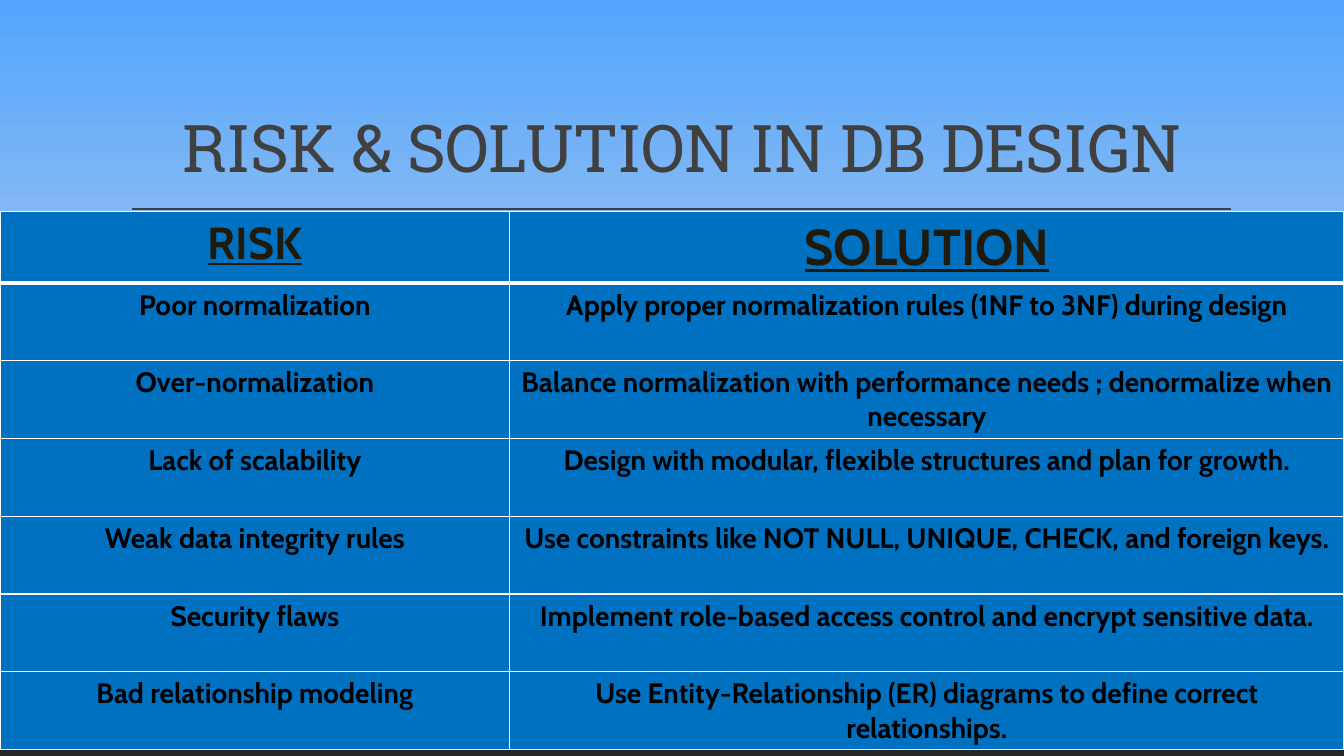
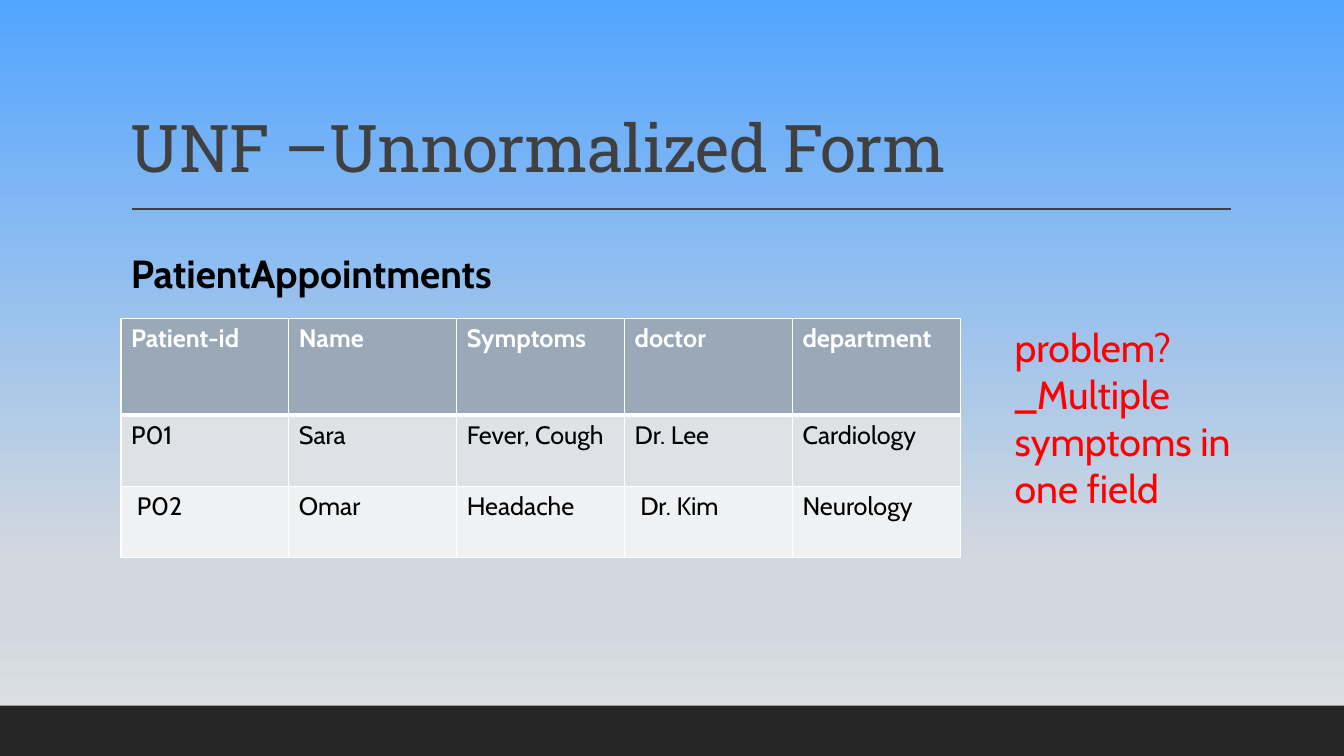
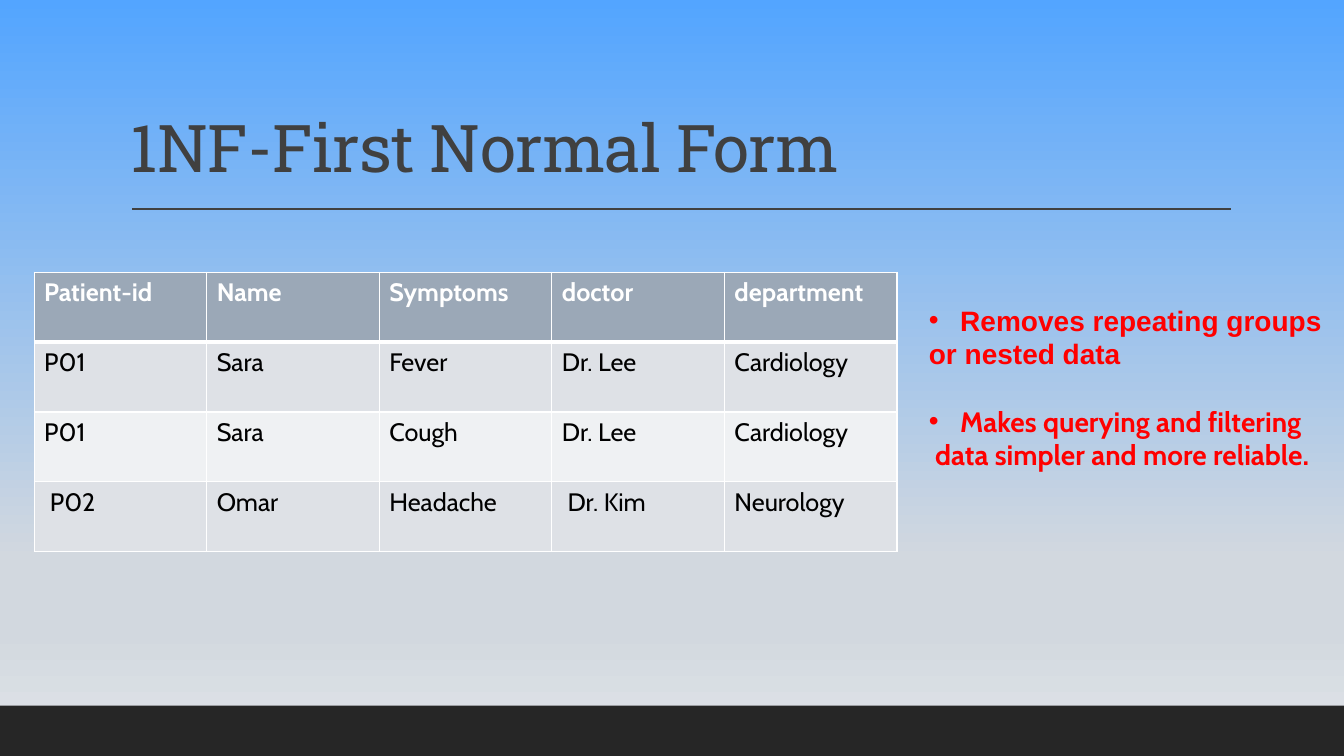
import pptx
import pptx.dml.color
import pptx.enum.dml
import pptx.enum.shapes
import pptx.enum.text
import pptx.oxml
import pptx.oxml.ns
import pptx.util
from lxml import etree

Cm = pptx.util.Cm
Pt = pptx.util.Pt
qn = pptx.oxml.ns.qn
ALIGN = pptx.enum.text.PP_ALIGN
ANCHOR = pptx.enum.text.MSO_ANCHOR

SLIDE_WIDTH, SLIDE_HEIGHT = 33.87, 19.05
SKY = [(0, "53A5FF"), (74, "D2D8DF"), (83, "D2D8DF"), (100, "E1E5E9")]
BAND, RULE, WHITE, BLACK, RED = "262626", "404040", "FFFFFF", "000000", "FF0000"
RISK_FILL, HEADER_FILL = "0070C0", "9BA8B7"
STRIPES = ["DEE1E6", "EFF1F3"]

TITLE_FONT = {"name": "Roboto Slab", "size": Pt(47), "color": RULE}
RISK_HEADER = {"name": "Cabin", "bold": True, "underline": True, "color": "1E1B0E"}
RISK_BODY = {"name": "Cabin", "size": Pt(20), "bold": True, "color": BLACK}
PATIENT_HEADER = {"name": "Cabin", "size": Pt(18), "bold": True, "color": WHITE}
PATIENT_BODY = {"name": "Cabin", "size": Pt(18), "bold": False, "color": BLACK}
CAPTION_FONT = {"name": "Cabin", "size": Pt(28), "bold": True, "color": BLACK}
PROBLEM_FONT = {"name": "Cabin", "size": Pt(28), "color": RED}
BENEFIT_FONT = {"size": Pt(20), "bold": True, "color": RED}

RISKS = [
    ("RISK", "SOLUTION"),
    ("Poor normalization", "Apply proper normalization rules (1NF to 3NF) during design"),
    ("Over-normalization",
     "Balance normalization with performance needs ; denormalize when necessary"),
    ("Lack of scalability", "Design with modular, flexible structures and plan for growth."),
    ("Weak data integrity rules",
     "Use constraints like NOT NULL, UNIQUE, CHECK, and foreign keys."),
    ("Security flaws", "Implement role-based access control and encrypt sensitive data."),
    ("Bad relationship modeling",
     "Use Entity-Relationship (ER) diagrams to define correct relationships."),
]
PATIENT_FIELDS = ("Patient-id", "Name", "Symptoms", "doctor", "department")
OMAR = (" P02", "Omar", "Headache", " Dr. Kim", "Neurology")


def sara(symptoms):
    """Return the appointment row of Sara with the given symptoms."""
    return "P01", "Sara", symptoms, "Dr. Lee", "Cardiology"


def rgb(code):
    """Turn a hex string into a colour."""
    return pptx.dml.color.RGBColor.from_string(code)


def apply_format(target, values):
    """Set every attribute in a dict of format values."""
    for name, value in values.items():
        if name == "color":
            target.color.rgb = rgb(value)
        else:
            setattr(target, name, value)


def write(paragraph, text, font, layout=None):
    """Write one formatted run into a paragraph."""
    run = paragraph.add_run()
    run.text = text
    apply_format(run.font, font)
    apply_format(paragraph, layout or {})


def add_text(slide, box, lines, anchor=ANCHOR.TOP):
    """Place a text box holding lines of text, font and paragraph layout."""
    shape = slide.shapes.add_textbox(*map(Cm, box))
    frame = shape.text_frame
    apply_format(frame, {"word_wrap": True, "vertical_anchor": anchor})
    for index, line in enumerate(lines):
        write(frame.add_paragraph() if index else frame.paragraphs[0], *line)
    return shape


def add_bullet(paragraph):
    """Give a paragraph a hanging round bullet."""
    properties = paragraph._p.get_or_add_pPr()
    properties.set("marL", str(Cm(0.79)))
    properties.set("indent", str(-Cm(0.79)))
    etree.SubElement(properties, qn("a:buFont")).set("typeface", "Arial")
    etree.SubElement(properties, qn("a:buChar")).set("char", "•")


def set_borders(cell, top, bottom):
    """Draw white borders round a cell, with the given top and bottom widths."""
    properties = cell._tc.get_or_add_tcPr()
    widths = {"L": 1, "R": 1, "T": top, "B": bottom}
    for index, (side, width) in enumerate(widths.items()):
        line = etree.Element(qn("a:ln" + side), w=str(Pt(width)))
        fill = etree.SubElement(line, qn("a:solidFill"))
        etree.SubElement(fill, qn("a:srgbClr")).set("val", WHITE)
        properties.insert(index, line)


def add_grid(slide, left, top, widths, heights, rows, style):
    """Place a table whose style gives fill, font and alignment by row and column."""
    box = (left, top, sum(widths), sum(heights))
    table = slide.shapes.add_table(len(rows), len(widths), *map(Cm, box)).table
    apply_format(table, {"first_row": False, "horz_banding": False})
    for column, width in zip(table.columns, widths):
        column.width = Cm(width)
    for row_index, values in enumerate(rows):
        table.rows[row_index].height = Cm(heights[row_index])
        for column_index, text in enumerate(values):
            cell = table.cell(row_index, column_index)
            fill, font, alignment = style(row_index, column_index)
            cell.fill.solid()
            cell.fill.fore_color.rgb = rgb(fill)
            set_borders(cell, 3 if row_index == 1 else 1, 1 if row_index else 3)
            write(cell.text_frame.paragraphs[0], text, font, {"alignment": alignment})


def risk_style(row, column):
    """Return the style of a cell in the risk table."""
    header = {**RISK_HEADER, "size": Pt((32, 36)[column])}
    return RISK_FILL, RISK_BODY if row else header, ALIGN.CENTER


def patient_style(row, column):
    """Return the style of a cell in a patient table."""
    if row == 0:
        return HEADER_FILL, PATIENT_HEADER, ALIGN.LEFT
    return STRIPES[(row - 1) % 2], PATIENT_BODY, ALIGN.LEFT


def paint_background(master):
    """Fill the master with the sky gradient."""
    fill = master.background.fill
    fill.gradient()
    fill.gradient_angle = 270
    stops = next(master.element.iter(qn("a:gsLst")))
    for stop in list(stops):
        stops.remove(stop)
    for position, code in SKY:
        stop = etree.SubElement(stops, qn("a:gs"), pos=str(position * 1000))
        etree.SubElement(stop, qn("a:srgbClr")).set("val", code)


def add_base(presentation, title, box=(3.05, 0.79, 27.94, 4.04), alignment=ALIGN.LEFT):
    """Add a slide with the bottom band, the title and its rule."""
    slide = presentation.slides.add_slide(presentation.slide_layouts[6])
    band = slide.shapes.add_shape(
        pptx.enum.shapes.MSO_SHAPE.RECTANGLE,
        *map(Cm, (0, 17.78, SLIDE_WIDTH, SLIDE_HEIGHT - 17.78)))
    band.shadow.inherit = False
    band.fill.solid()
    band.fill.fore_color.rgb = rgb(BAND)
    band.line.fill.background()
    rule = slide.shapes.add_connector(
        pptx.enum.shapes.MSO_CONNECTOR.STRAIGHT, *map(Cm, (3.33, 5.27, 31.01, 5.27)))
    apply_format(rule.line, {"color": RULE, "width": Pt(1)})
    etree.SubElement(rule.element.spPr, qn("a:effectLst"))
    layout = {"line_spacing": 0.9, "alignment": alignment}
    heading = add_text(slide, box, [(title, TITLE_FONT, layout)], ANCHOR.BOTTOM)
    for properties in heading.element.iter(qn("a:rPr")):
        properties.set("spc", "-50")
    return slide


def add_risk_slide(presentation):
    """Build the slide of risks and solutions."""
    slide = add_base(presentation, "RISK & SOLUTION IN DB DESIGN",
                     (0.84, 0.79, 32.69, 4.04), ALIGN.CENTER)
    add_grid(slide, 0, 5.33, [12.85, 21.02], [1.8] + [1.96] * 6, RISKS, risk_style)


def add_unnormalized_slide(presentation):
    """Build the slide of the unnormalized form."""
    slide = add_base(presentation, "UNF –Unnormalized Form")
    add_grid(slide, 3.05, 8.02, [4.23] * 5, [2.43] + [1.8] * 2,
             [PATIENT_FIELDS, sara("Fever, Cough"), OMAR], patient_style)
    add_text(slide, (3.05, 6.15, 10.74, 1.45), [("PatientAppointments", CAPTION_FONT)])
    add_text(slide, (25.32, 8.02, 7.14, 5.05), [
        ("problem?", PROBLEM_FONT),
        ("_Multiple symptoms in one field", PROBLEM_FONT),
    ])


def add_first_form_slide(presentation):
    """Build the slide of the first normal form."""
    slide = add_base(presentation, "1NF-First Normal Form")
    add_grid(slide, 0.86, 6.86, [4.35] * 5, [1.76] * 4,
             [PATIENT_FIELDS, sara("Fever"), sara("Cough"), OMAR], patient_style)
    arial, cabin = ({**BENEFIT_FONT, "name": name} for name in ("Arial", "Cabin"))
    benefits = add_text(slide, (23.16, 7.52, 10.69, 5.38), [
        ("Removes repeating groups", arial),
        ("or nested data", arial),
        ("Makes querying and filtering", cabin, {"space_before": Pt(24)}),
        (" data simpler and more reliable.", cabin),
    ])
    for paragraph in benefits.text_frame.paragraphs[::2]:
        add_bullet(paragraph)


def main():
    """Build and save the presentation."""
    presentation = pptx.Presentation()
    apply_format(presentation, {"slide_width": Cm(SLIDE_WIDTH),
                                "slide_height": Cm(SLIDE_HEIGHT)})
    paint_background(presentation.slide_master)
    add_risk_slide(presentation)
    add_unnormalized_slide(presentation)
    add_first_form_slide(presentation)
    presentation.save("out.pptx")


if __name__ == "__main__":
    main()
